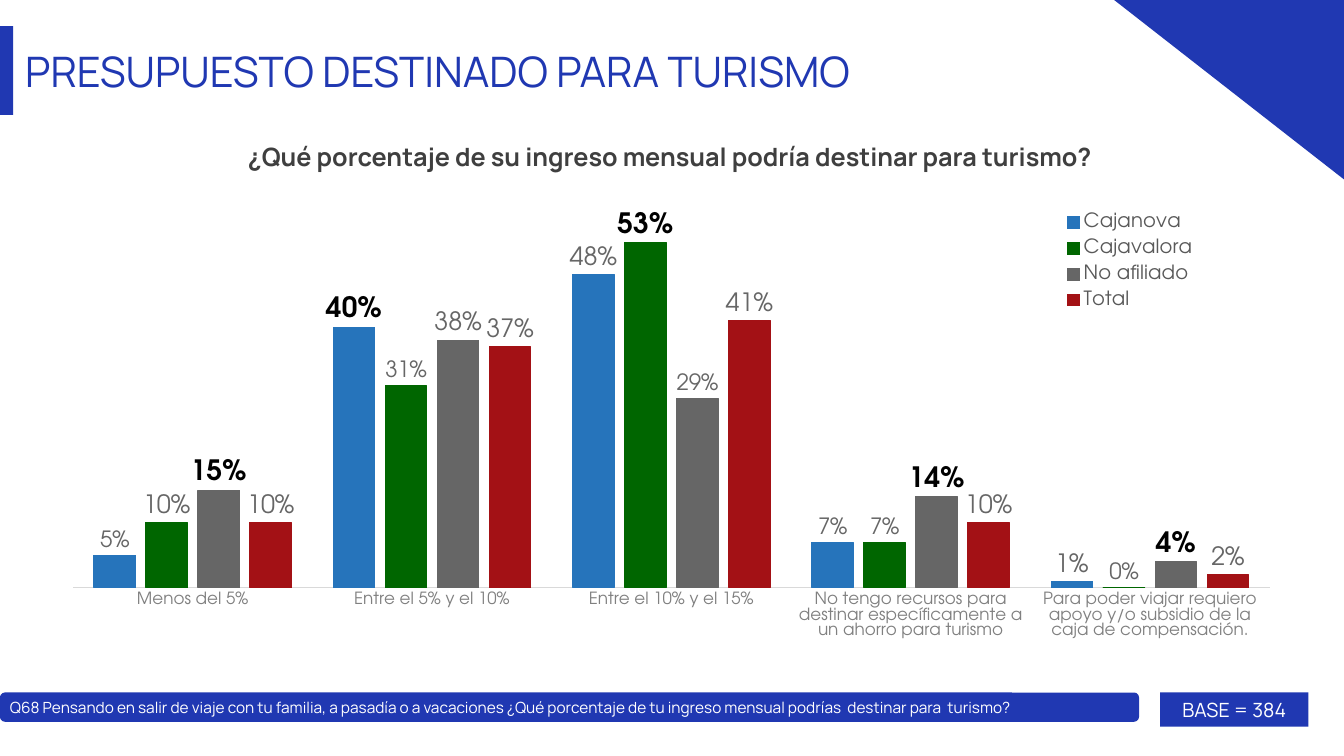
from lxml import etree
from pptx import Presentation
from pptx import util as u
from pptx.chart import data
from pptx.dml import color
from pptx.enum import chart as charts, shapes, text
from pptx.oxml import ns

CELL = 0.1
COLUMNS, ROWS = 133.33, 75
COLORS = {
    "brand": "2038B2", "white": "FFFFFF", "heading": "3F3F3F",
    "black": "000000", "label": "666666", "legend": "595959",
    "category": "808080", "axis": "D9D9D9",
}
HEAD_FONT, CHART_FONT = "Manrope", "TeX Gyre Adventor"
CATEGORIES = [
    "Menos del 5%",
    "Entre el 5% y el 10%",
    "Entre el 10% y el 15%",
    "No tengo recursos para destinar específicamente a un ahorro para turismo",
    "Para poder viajar requiero apoyo y/o subsidio de la caja de compensación.",
]
SERIES = [
    ("Cajanova", "2674BB", (0.05, 0.4, 0.48, 0.07, 0.01)),
    ("Cajavalora", "006600", (0.1, 0.31, 0.53, 0.07, 0)),
    ("No afiliado", "666666", (0.15, 0.38, 0.29, 0.14, 0.04)),
    ("Total", "A31115", (0.1, 0.37, 0.41, 0.1, 0.02)),
]
STRONG = {"size": 20, "color": "black", "bold": True}
SMALL = {"size": 16, "color": "label"}
POINT_LABELS = [
    {0: SMALL, 1: STRONG, 3: SMALL},
    {1: SMALL, 2: STRONG, 3: SMALL, 4: SMALL},
    {0: STRONG, 2: SMALL, 3: STRONG, 4: STRONG},
    {},
]


def rgb(value):
    return color.RGBColor.from_string(COLORS.get(value, value))


def cells(*lengths):
    return [u.Inches(length * CELL) for length in lengths]


def style_font(font, name, size, color, bold=False):
    values = {"name": name, "size": u.Pt(size), "bold": bold}
    for key, value in values.items():
        setattr(font, key, value)
    font.color.rgb = rgb(color)


def write(box, words, size, color, align=text.PP_ALIGN.LEFT,
          anchor=text.MSO_ANCHOR.MIDDLE, insets=(1, 0.5, 1, 0.5)):
    frame = box.text_frame
    sides = ("margin_left", "margin_top", "margin_right", "margin_bottom")
    values = dict(zip(sides, cells(*insets)))
    values.update(word_wrap=True, vertical_anchor=anchor)
    for key, value in values.items():
        setattr(frame, key, value)
    para = frame.paragraphs[0]
    para.alignment = align
    span = para.add_run()
    span.text = words
    style_font(span.font, HEAD_FONT, size, color, color == "heading")


def add_text(page, area, words, size, color, **layout):
    box = page.shapes.add_textbox(*cells(*area))
    write(box, words, size, color, anchor=text.MSO_ANCHOR.TOP, **layout)


def paint(shape):
    shape.shadow.inherit = False
    shape.fill.solid()
    shape.fill.fore_color.rgb = rgb("brand")
    shape.line.fill.background()


def add_band(page, area, kind=shapes.MSO_SHAPE.RECTANGLE):
    band = page.shapes.add_shape(kind, *cells(*area))
    paint(band)
    return band


def add_corner(page, width, height):
    left, right, bottom = cells(COLUMNS - width, COLUMNS, height)
    builder = page.shapes.build_freeform(right, 0)
    builder.add_line_segments([(left, 0), (right, bottom)], close=True)
    paint(builder.convert_to_shape())


def manual_layout(x, y, w, h, inner=False):
    layout = etree.Element(ns.qn("c:layout"))
    manual = etree.SubElement(layout, ns.qn("c:manualLayout"))
    values = {"layoutTarget": "inner"} if inner else {}
    values.update(xMode="edge", yMode="edge", x=x, y=y, w=w, h=h)
    for key, value in values.items():
        etree.SubElement(manual, ns.qn("c:" + key)).set("val", str(value))
    return layout


def drop_layout(parent):
    for layout in parent.findall(ns.qn("c:layout")):
        parent.remove(layout)


def arrange(chart):
    plot_area = chart.plots[0]._element.getparent()
    drop_layout(plot_area)
    plot_area.insert(0, manual_layout(0.012, 0.03, 0.977, 0.817, inner=True))
    legend = chart.legend._element
    drop_layout(legend)
    position = legend.find(ns.qn("c:legendPos"))
    position.addnext(manual_layout(0.81, 0.05, 0.13, 0.23))


def style_axes(chart):
    axis = chart.category_axis
    axis.major_tick_mark = charts.XL_TICK_MARK.NONE
    axis.format.line.color.rgb = rgb("axis")
    axis.format.line.width = u.Pt(0.75)
    style_font(axis.tick_labels.font, CHART_FONT, 12, "category")
    scale = {"minimum_scale": 0, "maximum_scale": 0.6,
             "has_major_gridlines": False, "visible": False}
    for key, value in scale.items():
        setattr(chart.value_axis, key, value)


def style_series(series, fill, point_labels):
    series.invert_if_negative = False
    series.format.fill.solid()
    series.format.fill.fore_color.rgb = rgb(fill)
    series.format.line.color.rgb = rgb(fill)
    series.format.line.width = u.Pt(0.75)
    labels = series.data_labels
    values = {"show_value": True, "number_format": "0%",
              "number_format_is_linked": False,
              "position": charts.XL_LABEL_POSITION.OUTSIDE_END}
    for key, value in values.items():
        setattr(labels, key, value)
    style_font(labels.font, CHART_FONT, 18, "label")
    for index, look in point_labels.items():
        label = series.points[index].data_label
        style_font(label.font, CHART_FONT, **look)
        label.position = charts.XL_LABEL_POSITION.OUTSIDE_END


def add_budget_chart(page, area):
    content = data.CategoryChartData(number_format="0%")
    content.categories = CATEGORIES
    for name, _, values in SERIES:
        content.add_series(name, values)
    kind = charts.XL_CHART_TYPE.COLUMN_CLUSTERED
    chart = page.shapes.add_chart(kind, *cells(*area), content).chart
    style_font(chart.font, "Arial", 10, "black")
    chart.has_title = False
    chart.has_legend = True
    chart.legend.position = charts.XL_LEGEND_POSITION.RIGHT
    chart.legend.include_in_layout = False
    style_font(chart.legend.font, CHART_FONT, 14, "legend")
    plot = chart.plots[0]
    for key, value in {"gap_width": 100, "overlap": -25,
                       "vary_by_categories": False}.items():
        setattr(plot, key, value)
    style_axes(chart)
    for series, (_, fill, _), looks in zip(plot.series, SERIES, POINT_LABELS):
        style_series(series, fill, looks)
    arrange(chart)


def main():
    deck = Presentation()
    deck.slide_width, deck.slide_height = cells(COLUMNS, ROWS)
    page = deck.slides.add_slide(deck.slide_layouts[6])
    center = text.PP_ALIGN.CENTER

    add_text(page, (4.4, 13.5, 124.1, 4),
             "¿Qué porcentaje de su ingreso mensual podría destinar para turismo?",
             18, "heading", align=center)
    add_budget_chart(page, (5.8, 18.1, 121.5, 47.5))
    add_corner(page, 22.8, 17.8)
    add_band(page, (0, 2.6, 1.3, 8.8))
    add_text(page, (2.5, 4.4, 106.4, 5.2), "PRESUPUESTO DESTINADO PARA TURISMO",
             30, "brand", insets=(0, 0.1, 0, 0))
    question = add_band(page, (0, 68.7, 113, 2.9),
                        shapes.MSO_SHAPE.ROUNDED_RECTANGLE)
    write(question,
          "Q68 Pensando en salir de viaje con tu familia, a pasadía o a vacaciones "
          "¿Qué porcentaje de tu ingreso mensual podrías  destinar para  turismo?",
          11, "white", insets=(0.85, 0.4, 1, 0.4))
    base = add_band(page, (115.1, 68.7, 14.7, 3.4))
    write(base, "BASE = 384", 14, "white", align=center)
    deck.save("out.pptx")


if __name__ == "__main__":
    main()
